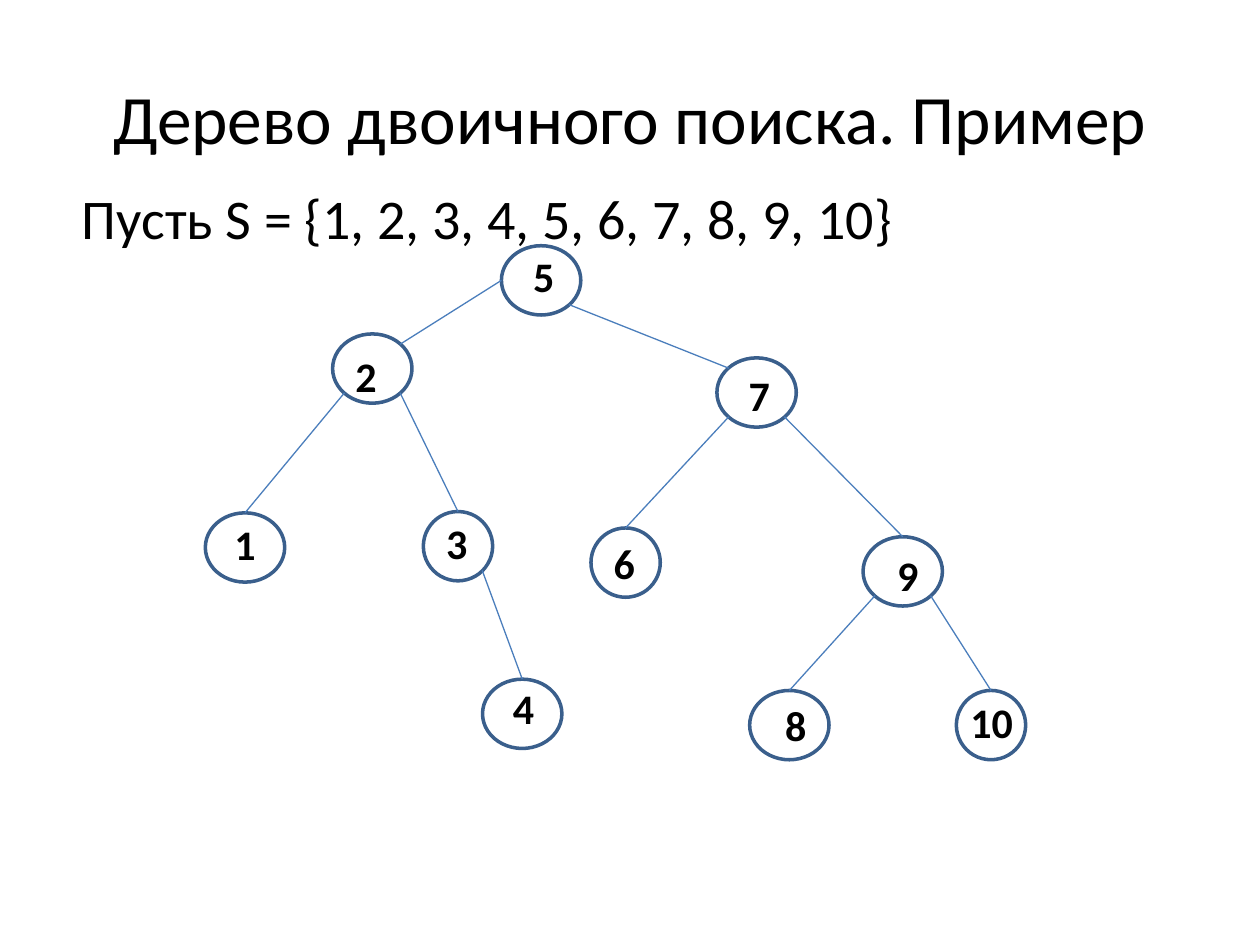
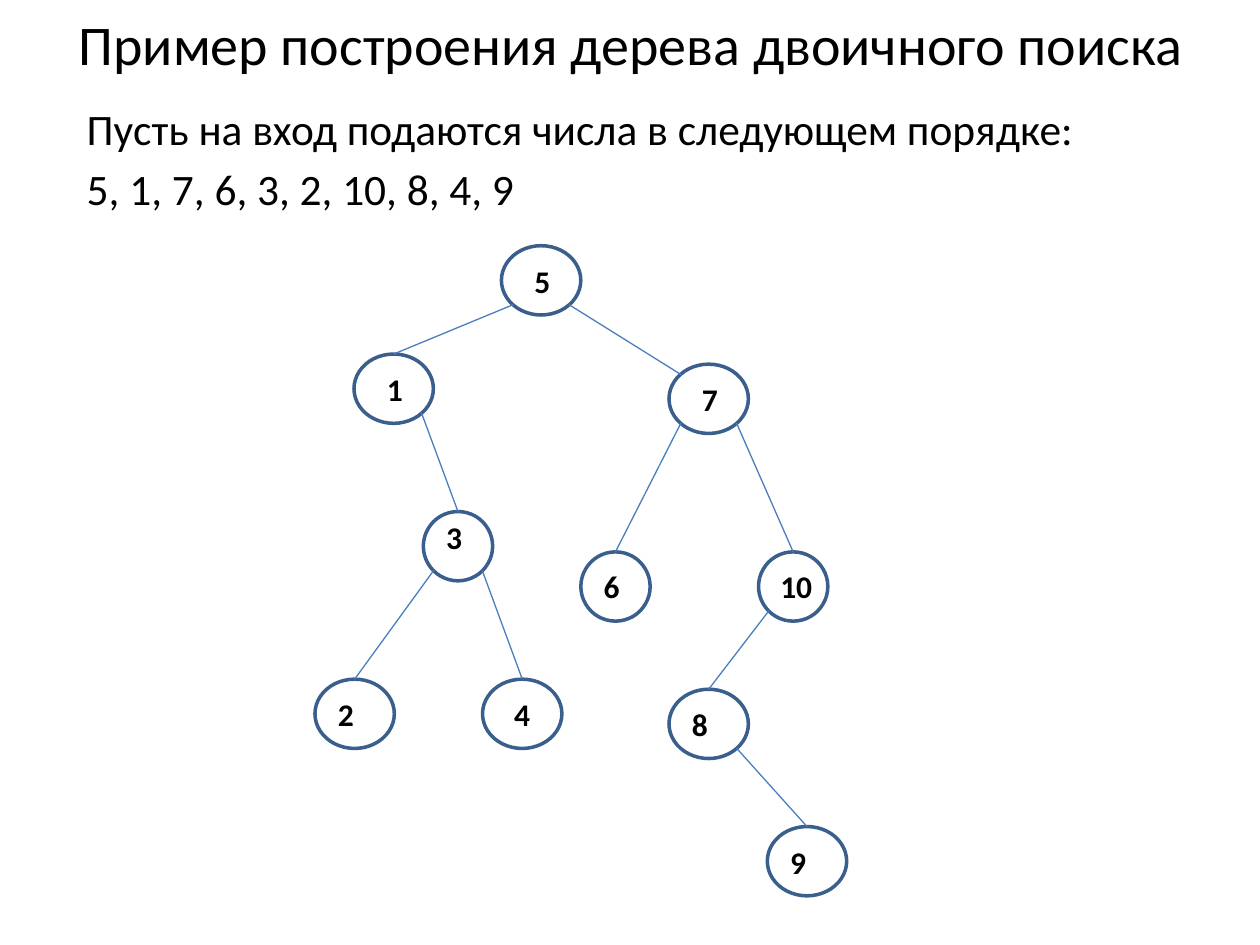
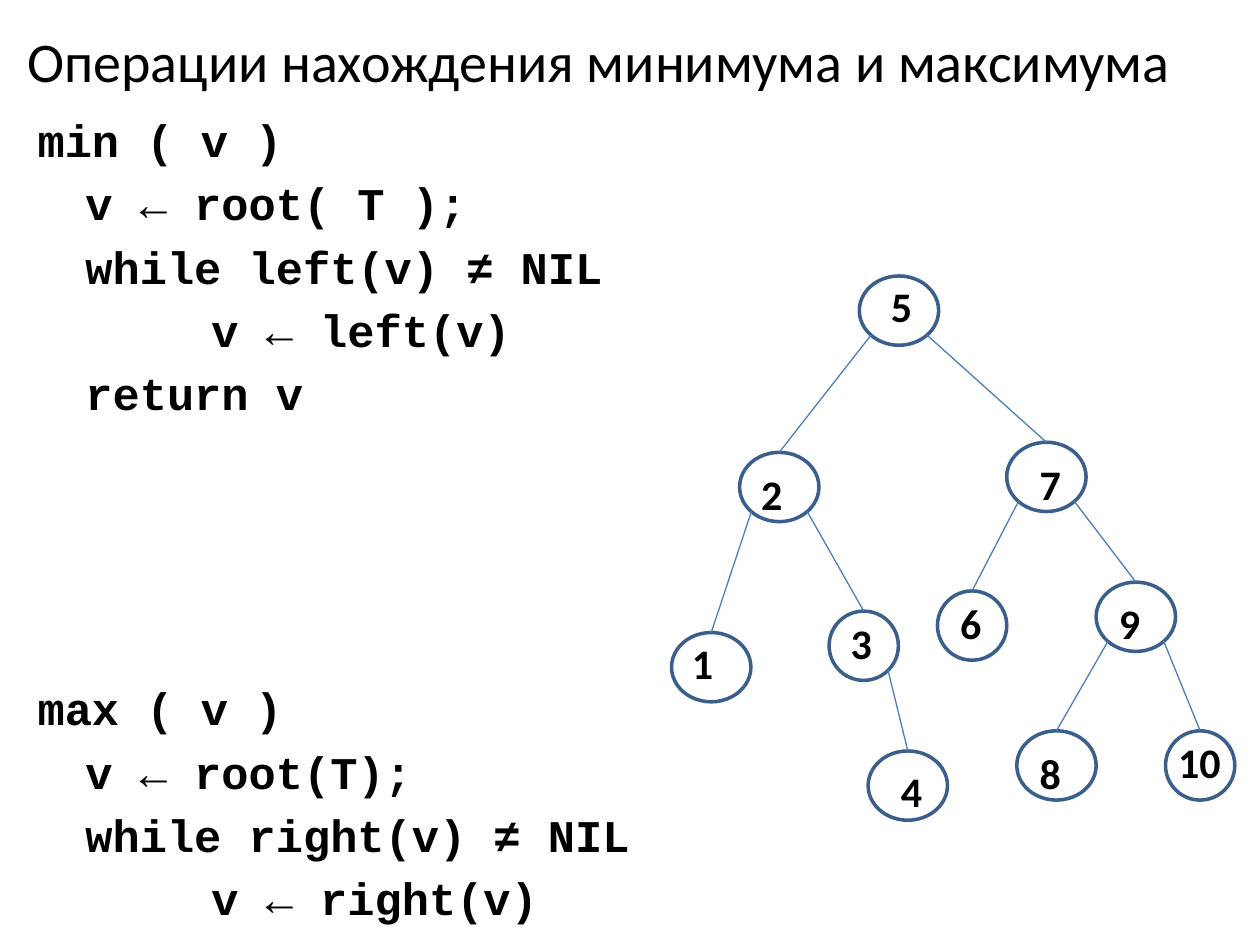
from pptx import Presentation
from pptx.dml.color import RGBColor
from pptx.enum.shapes import MSO_CONNECTOR, MSO_SHAPE
from pptx.enum.text import MSO_ANCHOR, MSO_AUTO_SIZE, PP_ALIGN
from pptx.oxml.ns import qn
from pptx.util import Inches, Pt

BLACK, NODE_LINE, EDGE_LINE = "000000", "3A5F8C", "4B7EBC"
NODE_HEIGHT, NODE_WIDTH, ROUND_WIDTH = 0.55, 0.63, 0.55
ROUND_VALUES = {3, 6, 10}
HANGING, TAB = 0.38, 1.0
CODE_SPACE, CODE_GAP = 5.1, 148.9

# Places on a node's outline, as shares of its width and height
SITES = {
    "top": (0.5, 0), "left": (0, 0.5),
    "top left": (0.15, 0.15), "top right": (0.85, 0.15),
    "bottom left": (0.15, 0.85), "bottom right": (0.85, 0.85),
}

# Label size in points: label height, width for one digit, width for two digits
LABEL_SIZES = {24: (0.5, 0.37, 0.54), 18: (0.4, 0.33, 0.46)}

# A body line is (indent level, text, space before in points).
# Nodes stand in order of insertion: value: (left, top, label shift right, label shift down).
# "edges" lists the edges that leave or enter at unusual sites.
SLIDES = [
    {
        "title": ("Дерево двоичного поиска. Пример", 39.6, (0.5, 0.3, 9, 1.25)),
        "body": {
            "place": (0.55, 1.41, 9, 0.75),
            "font": {"name": "Calibri", "size": Pt(32)},
            "lines": [(0, "Пусть S = {1, 2, 3, 4, 5, 6, 7, 8, 9, 10}", 6.4)],
        },
        "label size": 24,
        "nodes": {
            5: (3.98, 1.95, 0.15, -0.01),
            2: (2.64, 2.65, 0.08, 0.08),
            7: (5.69, 2.84, 0.15, 0.04),
            1: (1.63, 4.07, 0.13, 0),
            3: (3.36, 4.06, 0.08, 0),
            6: (4.69, 4.19, 0.08, 0.03),
            9: (6.85, 4.26, 0.17, 0.05),
            4: (3.83, 5.39, 0.14, -0.02),
            8: (5.95, 5.48, 0.18, 0.02),
            10: (7.59, 5.48, 0.01, 0),
        },
        "edges": {2: ("left", "top right"), 7: ("bottom right", "top left")},
    },
    {
        "title": ("Пример построения дерева двоичного поиска", 32, (0.51, 0, 9, 0.69)),
        "body": {
            "place": (0.59, 0.76, 9, 0.91),
            "font": {"name": "Calibri", "size": Pt(24.8)},
            "lines": [
                (0, "Пусть на вход подаются числа в следующем порядке:", 4.5),
                (0, "5, 1, 7, 6, 3, 2, 10, 8, 4, 9", 4.5),
            ],
        },
        "label size": 18,
        "nodes": {
            5: (3.98, 1.95, 0.16, 0.08),
            1: (2.81, 2.81, 0.16, 0.08),
            7: (5.31, 2.89, 0.16, 0.08),
            6: (4.61, 4.38, 0.08, 0.07),
            3: (3.36, 4.06, 0.08, 0),
            2: (2.5, 5.39, 0.08, 0.08),
            10: (6.02, 4.38, 0.07, 0.07),
            8: (5.31, 5.47, 0.08, 0.08),
            4: (3.83, 5.39, 0.15, 0.08),
            9: (6.09, 6.56, 0.08, 0.08),
        },
        "edges": {7: ("bottom right", "top left")},
    },
    {
        "title": ("Операции нахождения минимума и максимума", 32, (0, 0.21, 9.51, 0.54)),
        "body": {
            "place": (0.2, 0.84, 4.96, 6.3),
            "font": {"name": "Courier New", "size": Pt(25.9), "bold": True},
            "lines": [
                (0, "min ( v )", CODE_SPACE),
                (1, "v ← root( T );", CODE_SPACE),
                (1, "while left(v) ≠ NIL", CODE_SPACE),
                (2, "v ← left(v)", CODE_SPACE),
                (1, "return v", CODE_SPACE),
                (0, "max ( v )", CODE_GAP),
                (1, "v ← root(T);", CODE_SPACE),
                (1, "while right(v) ≠ NIL", CODE_SPACE),
                (2, "v ← right(v)", CODE_SPACE),
            ],
        },
        "label size": 24,
        "nodes": {
            5: (6.82, 2.19, 0.15, -0.01),
            2: (5.87, 3.59, 0.07, 0.08),
            7: (7.99, 3.51, 0.16, 0.08),
            1: (5.33, 5.02, 0.06, -0.01),
            3: (6.58, 4.85, 0.07, 0),
            6: (7.44, 4.69, 0.08, 0),
            9: (8.7, 4.62, 0.08, 0.07),
            4: (6.89, 5.96, 0.16, 0.07),
            8: (8.07, 5.8, 0.08, 0.08),
            10: (9.25, 5.8, 0, 0),
        },
        "edges": {},
    },
]


def color(hex_string):
    return RGBColor.from_string(hex_string)


def set_all(target, values):
    for name, value in values.items():
        setattr(target, name, value)


def add_text(page, place, lines, font, align=PP_ALIGN.LEFT, **frame_format):
    box = page.shapes.add_textbox(*map(Inches, place))
    frame = box.text_frame
    set_all(frame, {"word_wrap": True, **frame_format})
    for number, (level, text, space) in enumerate(lines):
        para = frame.paragraphs[0] if number == 0 else frame.add_paragraph()
        set_all(para, {"alignment": align, "space_before": Pt(space)})
        if level:
            margin = HANGING + (level - 1) * TAB
            para._p.get_or_add_pPr().set("marL", str(Inches(margin)))
        span = para.add_run()
        span.text = text
        set_all(span.font, font)
        span.font.color.rgb = color(BLACK)


def node_width(value):
    return ROUND_WIDTH if value in ROUND_VALUES else NODE_WIDTH


def site_point(nodes, value, site):
    left, top = nodes[value][:2]
    across, down = SITES[site]
    return Inches(left + across * node_width(value)), Inches(top + down * NODE_HEIGHT)


def find_parent(order, value):
    """Return the nearest smaller or larger earlier value, whichever was inserted later."""
    earlier = order[:order.index(value)]
    smaller = [other for other in earlier if other < value]
    larger = [other for other in earlier if other > value]
    neighbours = [max(smaller, default=None), min(larger, default=None)]
    return max((other for other in neighbours if other is not None), key=order.index)


def add_edge(page, start, end):
    edge = page.shapes.add_connector(MSO_CONNECTOR.STRAIGHT, *start, *end)
    edge.line.color.rgb = color(EDGE_LINE)
    edge.line.width = Pt(0.75)
    properties = edge._element.spPr
    properties.append(properties.makeelement(qn("a:effectLst"), {}))


def add_tree(page, nodes, special_edges, label_size):
    for value, (left, top, _, _) in nodes.items():
        node = page.shapes.add_shape(
            MSO_SHAPE.OVAL, *map(Inches, (left, top, node_width(value), NODE_HEIGHT)))
        node.shadow.inherit = False
        node.fill.background()
        node.line.color.rgb = color(NODE_LINE)
        node.line.width = Pt(2)

    order = list(nodes)
    for value in order[1:]:
        parent = find_parent(order, value)
        side = "bottom left" if value < parent else "bottom right"
        start, end = special_edges.get(value, (side, "top"))
        add_edge(page, site_point(nodes, parent, start), site_point(nodes, value, end))

    height, *widths = LABEL_SIZES[label_size]
    font = {"name": "Calibri", "size": Pt(label_size), "bold": True}
    for value, (left, top, right, down) in nodes.items():
        place = (left + right, top + down, widths[len(str(value)) - 1], height)
        add_text(page, place, [(0, str(value), 0)], font, PP_ALIGN.CENTER,
                 word_wrap=False, auto_size=MSO_AUTO_SIZE.SHAPE_TO_FIT_TEXT)


def main():
    deck = Presentation()
    set_all(deck, {"slide_width": Inches(10), "slide_height": Inches(7.5)})
    for content in SLIDES:
        page = deck.slides.add_slide(deck.slide_layouts[6])
        title, size, place = content["title"]
        add_text(page, place, [(0, title, 0)], {"name": "Calibri", "size": Pt(size)},
                 PP_ALIGN.CENTER, vertical_anchor=MSO_ANCHOR.MIDDLE)
        add_text(page, **content["body"])
        add_tree(page, content["nodes"], content["edges"], content["label size"])
    deck.save("out.pptx")


if __name__ == "__main__":
    main()
